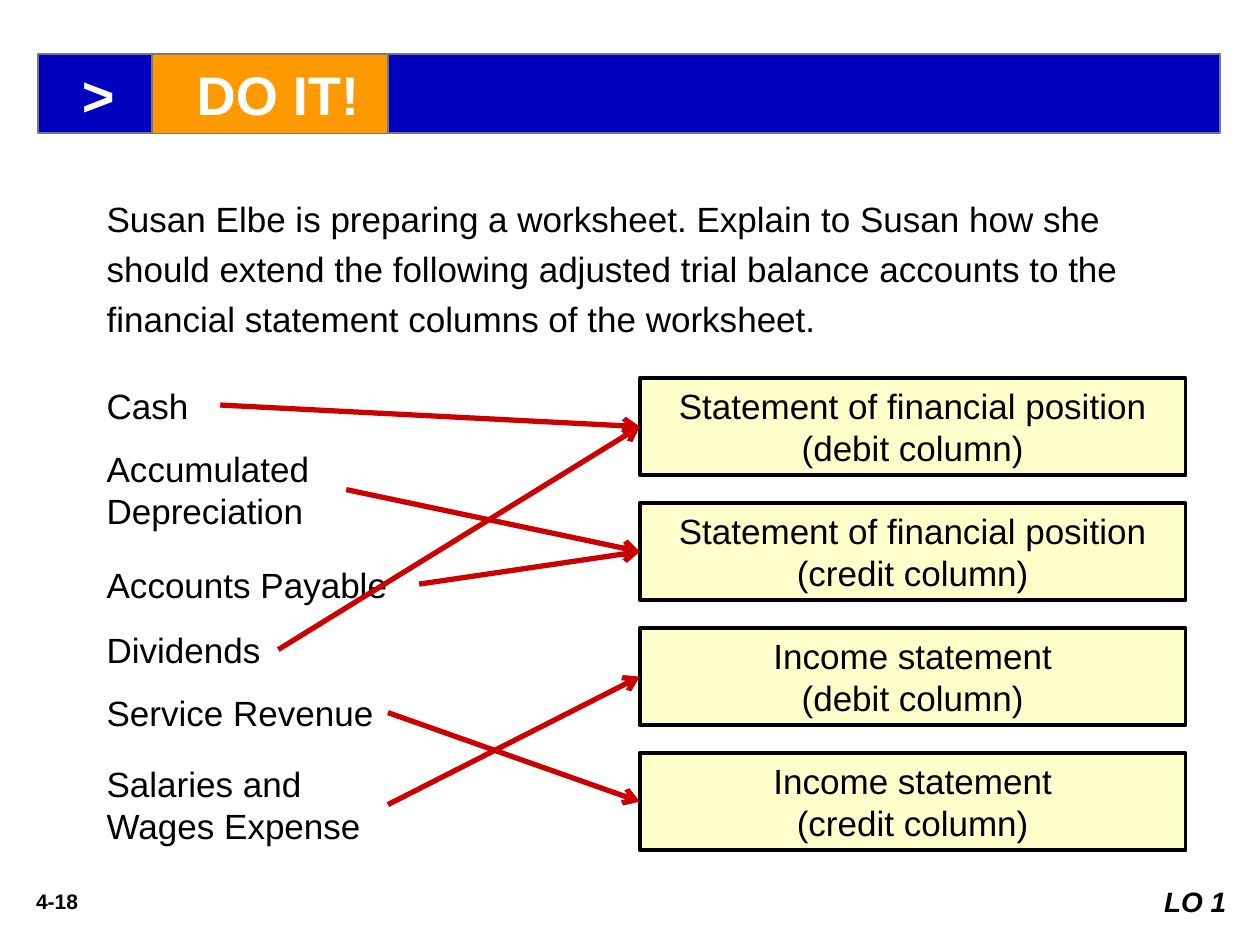
from lxml.etree import SubElement
from pptx import Presentation
from pptx.dml.color import RGBColor
from pptx.enum.shapes import MSO_CONNECTOR as CONN, MSO_SHAPE as SHAPE
from pptx.enum.text import MSO_ANCHOR as ANCHOR, MSO_AUTO_SIZE as FIT, PP_ALIGN as ALIGN
from pptx.oxml.ns import qn
from pptx.util import Cm, Pt

BLACK = RGBColor(0x00, 0x00, 0x00)
WHITE = RGBColor(0xFF, 0xFF, 0xFF)
BLUE = RGBColor(0x00, 0x00, 0xBF)
ORANGE = RGBColor(0xFF, 0x99, 0x00)
GREY = RGBColor(0x77, 0x77, 0x77)
CREAM = RGBColor(0xFF, 0xFF, 0xCC)
RED = RGBColor(0xCC, 0x00, 0x00)

BODY = {"name": "Arial", "size": Pt(20), "bold": False, "italic": False}
HEAD = BODY | {"size": Pt(32), "bold": True}

# Account: top, width, height, index of the statement column it extends to
ACCOUNTS = {
    "Cash": (0, 2.54, 1.09, 0),
    "Accumulated Depreciation": (1.27, 5.08, 1.96, 1),
    "Accounts Payable": (3.61, 6.55, 1.09, 1),
    "Dividends": (4.93, 3.71, 1.09, 0),
    "Service Revenue": (6.2, 5.92, 1.09, 3),
    "Salaries and Wages Expense": (7.62, 5.92, 1.96, 2),
}
COLUMNS = [
    "Statement of financial position (debit column)",
    "Statement of financial position (credit column)",
    "Income statement\n(debit column)",
    "Income statement\n(credit column)",
]


def paint(sp, fill, line=None, width=0):
    sp.fill.solid()
    sp.fill.fore_color.rgb = fill
    if line is None:
        sp.line.fill.background()
    else:
        sp.line.color.rgb = line
        sp.line.width = Pt(width)


def write(sp, text, font=BODY, color=BLACK, align=ALIGN.LEFT, anchor=ANCHOR.TOP,
          fit=FIT.SHAPE_TO_FIT_TEXT, spacing=1.0, indent=0):
    tf = sp.text_frame
    tf.text = text
    for name, value in {"word_wrap": True, "auto_size": fit, "vertical_anchor": anchor}.items():
        setattr(tf, name, value)
    for p in tf.paragraphs:
        p.alignment = align
        p.line_spacing = spacing
        if indent:
            p._p.get_or_add_pPr().set("marL", str(Cm(indent)))
        for r in p.runs:
            for name, value in font.items():
                setattr(r.font, name, value)
            r.font.color.rgb = color


def add_box(s, left, top, width, height, fill=WHITE, line=None, line_width=0):
    sp = s.shapes.add_shape(SHAPE.RECTANGLE, Cm(left), Cm(top), Cm(width), Cm(height))
    sp.shadow.inherit = False
    paint(sp, fill, line, line_width)
    return sp


def add_arrow(s, account, column):
    line = s.shapes.add_connector(CONN.STRAIGHT, 0, 0, 0, 0)
    line.begin_connect(account, 3)  # middle of the right side
    line.end_connect(column, 1)  # middle of the left side
    line.line.color.rgb = RED
    line.line.width = Pt(3)
    SubElement(line.line._get_or_add_ln(), qn("a:tailEnd"), type="arrow")
    SubElement(line._element.spPr, qn("a:effectLst"))


def add_banner(s, left, top, width, height):
    style = {"font": HEAD, "color": WHITE, "anchor": ANCHOR.MIDDLE,
             "fit": FIT.NONE, "indent": 0.64}
    bar = add_box(s, left, top, width, height, BLUE, GREY, 1)
    write(bar, ">", **style)
    # The title sits in front of the bar
    title = s.shapes.title
    bar.element.addnext(title.element)
    title.left, title.top = Cm(left + 2.31), Cm(top)
    title.width, title.height = Cm(4.75), Cm(height)
    paint(title, ORANGE, GREY, 1)
    write(title, "DO IT!", **style | {"font": HEAD | {"size": Pt(31)}})


def add_matching(s, left, top, width):
    col_width, col_height, pitch = 11, 1.96, 2.52
    accounts = []
    for name, (y, w, h, _) in ACCOUNTS.items():
        sp = add_box(s, left, top + y, w, h)
        write(sp, name)
        accounts.append(sp)
    columns = []
    for i, name in enumerate(COLUMNS):
        sp = add_box(s, left + width - col_width, top + i * pitch,
                     col_width, col_height, CREAM, BLACK, 2.25)
        write(sp, name, align=ALIGN.CENTER)
        columns.append(sp)
    for account, (*_, target) in zip(accounts, ACCOUNTS.values()):
        add_arrow(s, account, columns[target])


def add_footer(s, left, top, width):
    number = add_box(s, left, top, 1.9, 0.76)
    write(number, "4-18", BODY | {"size": Pt(12), "bold": True}, align=ALIGN.CENTER)
    goal = add_box(s, left + width - 1.9, top - 0.08, 1.9, 0.94)
    write(goal, "LO 1", BODY | {"size": Pt(16), "bold": True, "italic": True},
          align=ALIGN.RIGHT)


def main():
    prs = Presentation()
    prs.slide_width, prs.slide_height = Cm(25.4), Cm(19.05)
    s = prs.slides.add_slide(prs.slide_layouts[5])

    add_banner(s, 0.76, 1.09, 23.83, 1.6)
    # Task
    task = add_box(s, 1.9, 3.68, 22.23, 3.33)
    write(task, "Susan Elbe is preparing a worksheet. Explain to Susan how she should "
                "extend the following adjusted trial balance accounts to the financial "
                "statement columns of the worksheet.", spacing=1.2)
    add_matching(s, 1.9, 7.62, 22)
    add_footer(s, 0.2, 17.78, 24.77)

    prs.save("out.pptx")


if __name__ == "__main__":
    main()
